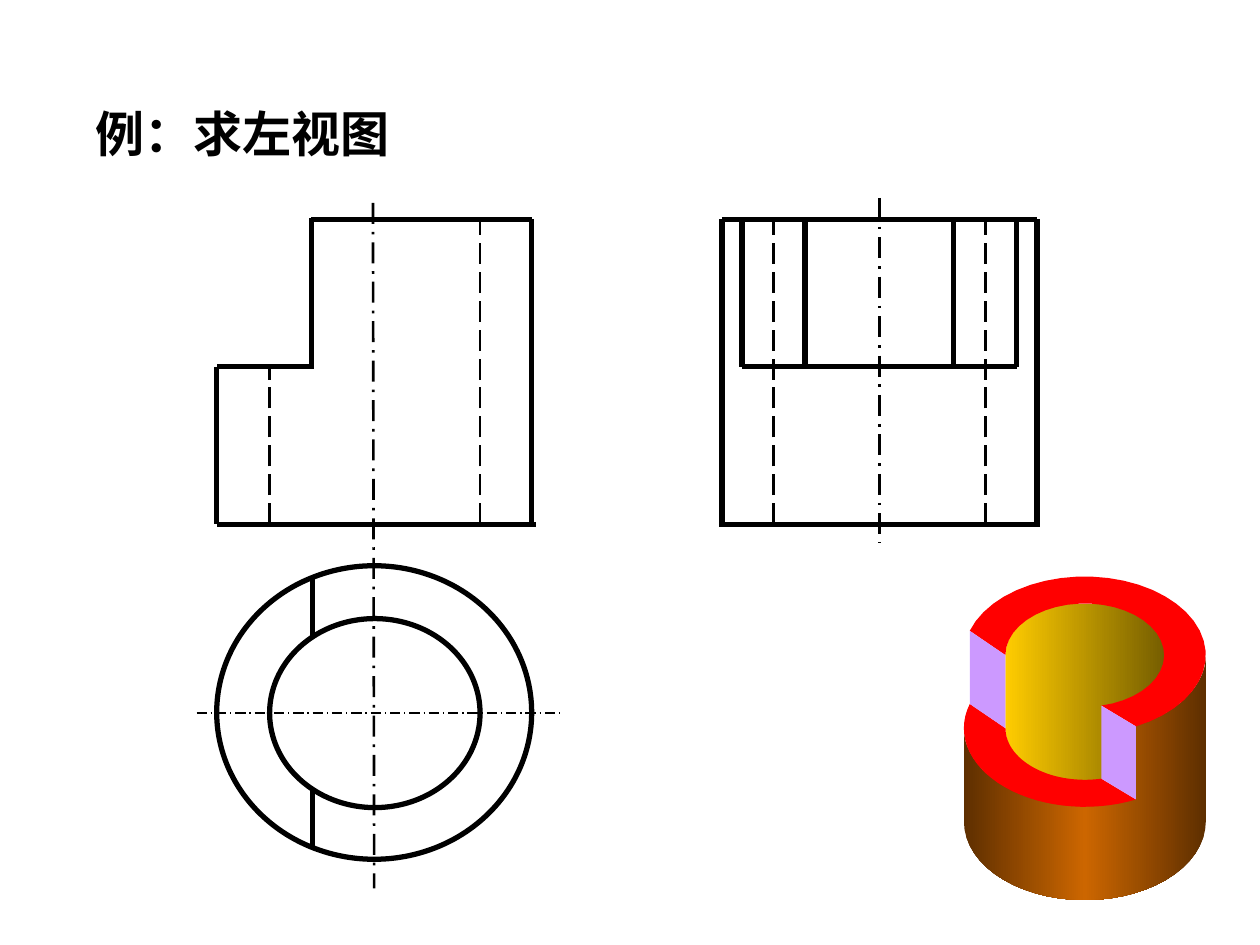
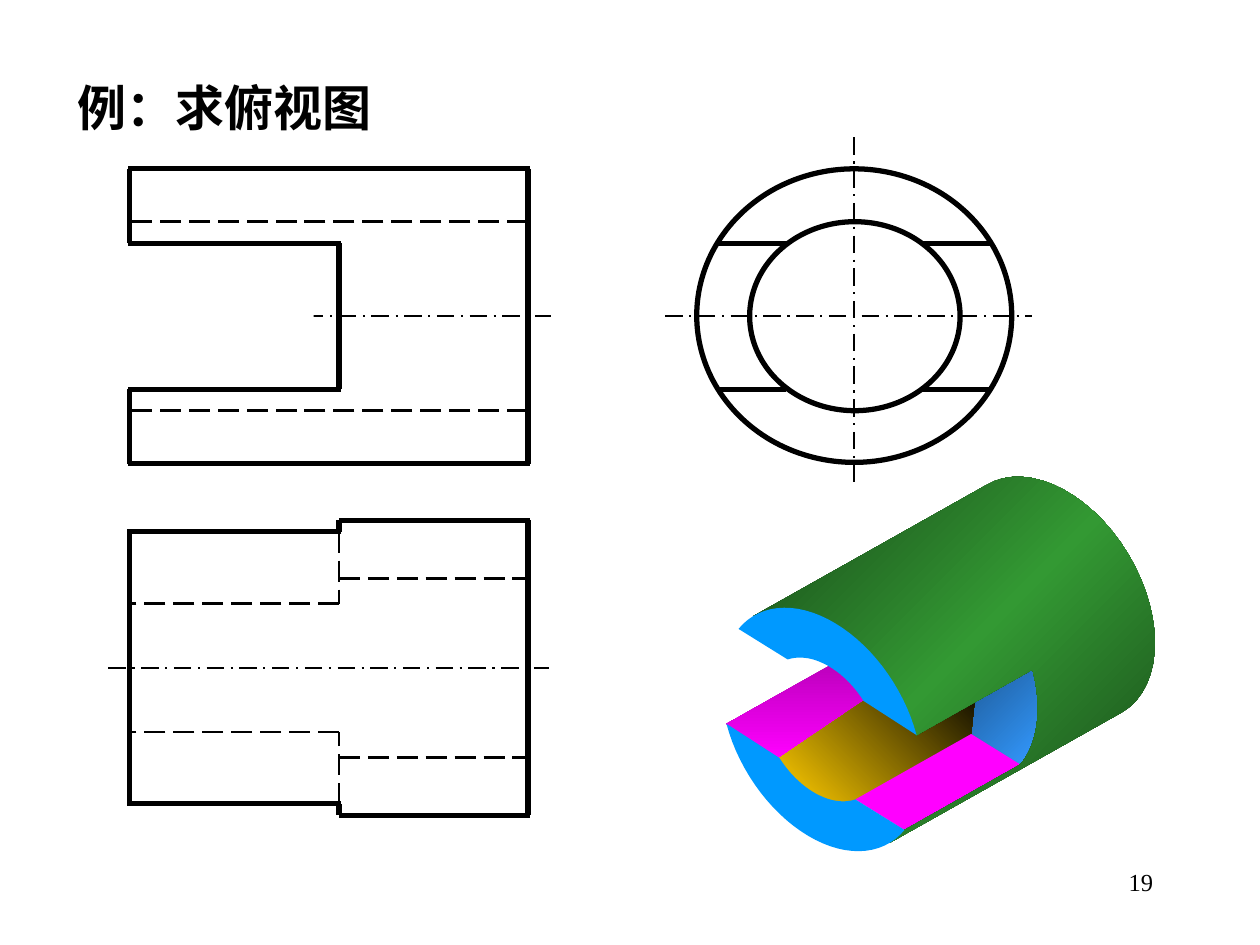
import math
from dataclasses import dataclass

from lxml import etree
from pptx import Presentation
from pptx.dml.color import RGBColor
from pptx.enum.dml import MSO_LINE
from pptx.enum.shapes import MSO_CONNECTOR, MSO_SHAPE
from pptx.enum.text import PP_ALIGN
from pptx.oxml import parse_xml
from pptx.oxml.ns import nsdecls, qn
from pptx.util import Cm, Pt

STRAIGHT = MSO_CONNECTOR.STRAIGHT
ELLIPSE, RECTANGLE = MSO_SHAPE.OVAL, MSO_SHAPE.RECTANGLE
HIDDEN_DASH, AXIS_DASH = MSO_LINE.LONG_DASH, MSO_LINE.LONG_DASH_DOT
LEFT, RIGHT = PP_ALIGN.LEFT, PP_ALIGN.RIGHT
FORESHORTENING = 0.65
ARC_STEPS = 30
SIDES = (-1, 1)


@dataclass(frozen=True)
class Theme:
    ink: str = "000000"
    paper: str = "FFFFFF"
    title_font: str = "Noto Sans CJK SC"
    number_font: str = "Times New Roman"
    title_size: int = 28
    number_size: int = 14
    edge: float = 3
    hidden: float = 1.5
    axis: float = 1.25
    long_axis: float = 1.5
    thin_axis: float = 0.75
    red: str = "FF0000"
    lilac: str = "CC99FF"
    magenta: str = "FF00FF"
    dark_magenta: str = "B900B9"
    blue: str = "0099FF"
    steel: str = "3399FF"
    dark_steel: str = "1F5D9B"
    green: str = "339933"
    dark_green: str = "184718"
    orange: str = "CC6600"
    brown: str = "5E2F00"
    gold: str = "FFCC00"
    dark_gold: str = "765E00"
    black_gold: str = "191400"


def inches(value):
    """Drawing coordinates are in inches; lengths are handed over as Cm."""
    return Cm(value * 2.54)


def midpoint(first, second):
    return (first[0] + second[0]) / 2, (first[1] + second[1]) / 2


@dataclass(frozen=True)
class TubeModel:
    """Tube seen at a slant: its circles become ellipses turned by tilt.

    Angles are degrees, clockwise from the long axis of the ellipse.
    """
    centre: tuple
    outer: float
    bore: float
    tilt: float = 0

    def point(self, radius, angle, shift=(0, 0)):
        turn, tilt = math.radians(angle), math.radians(self.tilt)
        along = radius * math.cos(turn)
        across = radius * FORESHORTENING * math.sin(turn)
        return (self.centre[0] + shift[0] + along * math.cos(tilt) - across * math.sin(tilt),
                self.centre[1] + shift[1] + along * math.sin(tilt) + across * math.cos(tilt))

    def arc(self, radius, start, end, shift=(0, 0)):
        return [self.point(radius, start + (end - start) * step / ARC_STEPS, shift)
                for step in range(ARC_STEPS + 1)]

    def ring_sector(self, outer_start, outer_end, bore_end, bore_start, shift=(0, 0)):
        return (self.arc(self.outer, outer_start, outer_end, shift)
                + self.arc(self.bore, bore_end, bore_start, shift))

    def cut_face(self, outer_angle, bore_angle, shift):
        """Parallelogram swept by a radial edge that moves by shift."""
        return [self.point(self.outer, outer_angle), self.point(self.bore, bore_angle),
                self.point(self.bore, bore_angle, shift),
                self.point(self.outer, outer_angle, shift)]


class DrawingSheet:
    def __init__(self, presentation, theme):
        self.presentation = presentation
        self.theme = theme
        self.slide = None

    def new_slide(self):
        self.slide = self.presentation.slides.add_slide(
            self.presentation.slide_layouts[6])

    def title(self, text, left, top):
        self.text(text, (left, top, 3.65, 0.57), bold=True,
                  font=self.theme.title_font, size=self.theme.title_size)

    def page_number(self, number):
        self.text(number, (7.17, 6.83, 2.08, 0.5), align=RIGHT,
                  font=self.theme.number_font, size=self.theme.number_size)

    def text(self, text, box, *, font, size, bold=False, align=LEFT):
        frame = self.slide.shapes.add_textbox(*map(inches, box)).text_frame
        frame.word_wrap = True
        paragraph = frame.paragraphs[0]
        paragraph.alignment = align
        run = paragraph.add_run()
        run.text = text
        run.font.name, run.font.size, run.font.bold = font, Pt(size), bold
        run.font.color.rgb = RGBColor.from_string(self.theme.ink)
        east_asian = etree.SubElement(run.font._element, qn("a:ea"))
        east_asian.set("typeface", font)

    def line(self, x1, y1, x2, y2, width, dash=None):
        connector = self.slide.shapes.add_connector(
            STRAIGHT, *map(inches, (x1, y1, x2, y2)))
        connector.line.color.rgb = RGBColor.from_string(self.theme.ink)
        connector.line.width = Pt(width)
        if dash is not None:
            connector.line.dash_style = dash
        etree.SubElement(connector._element.spPr, qn("a:effectLst"))

    def edges(self, *segments):
        for segment in segments:
            self.line(*segment, self.theme.edge)

    def hidden_edges(self, *segments):
        for segment in segments:
            self.line(*segment, self.theme.hidden, HIDDEN_DASH)

    def axis(self, *segment, width=None):
        self.line(*segment, width or self.theme.axis, AXIS_DASH)

    def preset(self, kind, box, fill=None, outlined=True):
        shape = self.slide.shapes.add_shape(kind, *map(inches, box))
        shape.shadow.inherit = False
        if fill:
            shape.fill.solid()
            shape.fill.fore_color.rgb = RGBColor.from_string(fill)
        else:
            shape.fill.background()
        if outlined:
            shape.line.color.rgb = RGBColor.from_string(self.theme.ink)
            shape.line.width = Pt(self.theme.edge)
        else:
            shape.line.fill.background()

    def end_view(self, left, top, hole_fill=None):
        """Draw the tube along its axis: outer circle and centred hole."""
        self.preset(ELLIPSE, (left + 0.42, top + 0.42, 1.67, 1.5), hole_fill)
        self.preset(ELLIPSE, (left, top, 2.5, 2.33))

    def face(self, points, *colours, angle=0):
        """Fill a closed outline with one colour or an even gradient."""
        outline = [(inches(x), inches(y)) for x, y in points]
        builder = self.slide.shapes.build_freeform(*outline[0], scale=1.0)
        builder.add_line_segments(outline[1:], close=True)
        shape = builder.convert_to_shape()
        shape.shadow.inherit = False
        shape.line.fill.background()
        if len(colours) == 1:
            shape.fill.solid()
            shape.fill.fore_color.rgb = RGBColor.from_string(colours[0])
            return
        step = 100000 // (len(colours) - 1)
        stops = "".join(
            f'<a:gs pos="{index * step}"><a:srgbClr val="{colour}"/></a:gs>'
            for index, colour in enumerate(colours))
        gradient = parse_xml(
            f'<a:gradFill {nsdecls("a")} rotWithShape="1"><a:gsLst>{stops}</a:gsLst>'
            f'<a:lin ang="{angle * 60000}" scaled="0"/></a:gradFill>')
        shape.fill.background()
        properties = shape._element.spPr
        properties.replace(properties.find(qn("a:noFill")), gradient)


def draw_stepped_views(sheet):
    """Three views of an upright tube whose left part is cut lower."""
    theme = sheet.theme
    top, step, bottom = 1.74, 2.91, 4.16
    left, cut, right = 1.72, 2.47, 4.22

    # Plan and front view
    sheet.edges((cut + 0.01, 4.59, cut + 0.01, 6.73))
    sheet.end_view(left, 4.49, hole_fill=theme.paper)
    sheet.edges((left, bottom, right + 0.03, bottom), (right, top, right, bottom),
                (cut, top - 0.01, cut, step + 0.01), (cut + 0.02, step, left, step),
                (left, step, left, bottom), (cut, top, right, top))
    sheet.hidden_edges((2.14, bottom, 2.14, step), (3.81, bottom, 3.81, top))
    sheet.axis(2.96, 1.61, 2.97, 7.05, width=theme.long_axis)
    sheet.axis(1.56, 5.66, 4.47, 5.66, width=theme.thin_axis)

    # Left view, symmetric about its axis
    centre, wall, cut_outer, bore, cut_bore = 6.98, 1.25, 1.09, 0.84, 0.59
    for y, half_width in ((top, wall), (step, cut_outer), (bottom, wall + 0.02)):
        sheet.edges((centre - half_width, y, centre + half_width, y))
    for side in SIDES:
        for offset, end in ((wall, bottom), (cut_outer, step), (cut_bore, step)):
            x = centre + side * offset
            sheet.edges((x, top, x, end))
        x = centre + side * bore
        sheet.hidden_edges((x, bottom, x, top))
    sheet.axis(centre, 1.57, centre, 4.31, width=theme.long_axis)


def draw_stepped_model(sheet):
    theme = sheet.theme
    tube = TubeModel(centre=(8.61, 5.2), outer=0.96, bore=0.63)
    step, base = (0, 0.58), (0, 1.32)
    # The cut plane meets each circle at a back-left and a front-right angle
    outer_back, outer_front = 198, 65
    bore_back, bore_front = 180, 78

    outer_wall = (tube.arc(tube.outer, 180, outer_front, step)
                  + tube.arc(tube.outer, outer_front, 0)
                  + tube.arc(tube.outer, 0, 180, base))
    bore_wall = (tube.arc(tube.bore, bore_back, bore_front + 360)
                 + tube.arc(tube.bore, bore_front, bore_back, step))
    sheet.face(bore_wall, theme.gold, theme.dark_gold)
    sheet.face(outer_wall, theme.brown, theme.orange, theme.brown)
    sheet.face(tube.ring_sector(outer_back, outer_front + 360,
                                bore_front + 360, bore_back), theme.red)
    sheet.face(tube.ring_sector(outer_back, outer_front,
                                bore_front, bore_back, step), theme.red)
    for outer_angle, bore_angle in ((outer_back, bore_back), (outer_front, bore_front)):
        sheet.face(tube.cut_face(outer_angle, bore_angle, step), theme.lilac)


def draw_slotted_views(sheet):
    """Three views of a lying tube with a slot through its left end."""
    left, slot, right = 1.03, 2.69, 4.19
    middle, wall, slot_half, bore = 2.51, 1.17, 0.58, 0.75

    # Front view, symmetric about its axis; a paper patch clears the open slot
    sheet.axis(0.87, middle, 4.37, middle)
    sheet.preset(RECTANGLE, (0.86, 2.35, 1.63, 0.24), sheet.theme.paper, outlined=False)
    for side in SIDES:
        wall_y, slot_y, bore_y = (middle + side * half for half in (wall, slot_half, bore))
        sheet.edges((left - 0.01, wall_y, right + 0.02, wall_y),
                    (left - 0.01, slot_y, slot + 0.02, slot_y),
                    (left, slot_y, left, wall_y))
        sheet.hidden_edges((right, bore_y, left, bore_y))
    sheet.edges((right, middle - wall, right, middle + wall),
                (slot, middle - slot_half, slot, middle + slot_half))

    # Left view: slot edges run from the hole to the outer circle
    centre, slot_inner, slot_outer = 6.78, 0.54, 1.08
    sheet.end_view(5.53, 1.34)
    sheet.axis(5.28, middle, 8.19, middle)
    sheet.axis(centre, 1.09, centre, 3.84)
    for x_side in SIDES:
        for y_side in SIDES:
            y = middle + y_side * slot_half
            sheet.edges((centre + x_side * slot_inner, y, centre + x_side * slot_outer, y))

    # Plan, symmetric about its axis
    plan, shoulder, slot_bore, body_bore = 5.3, 1.08, 0.51, 0.71
    for side in SIDES:
        wall_y, shoulder_y, slot_y, bore_y = (
            plan + side * half for half in (wall, shoulder, slot_bore, body_bore))
        sheet.edges((slot, wall_y, right + 0.02, wall_y), (slot, wall_y, slot, shoulder_y),
                    (slot + 0.02, shoulder_y, left - 0.02, shoulder_y))
        sheet.hidden_edges((slot, shoulder_y, slot, slot_y), (slot, slot_y, left, slot_y),
                           (slot, bore_y, right, bore_y))
    for x, half in ((left, shoulder), (right, wall)):
        sheet.edges((x, plan - half, x, plan + half))
    sheet.axis(0.86, plan, 4.36, plan)


def draw_slotted_model(sheet):
    theme = sheet.theme
    tube = TubeModel(centre=(6.52, 5.79), outer=1.05, bore=0.62, tilt=59)
    far_end, slot_end = (1.85, -1.04), (0.92, -0.52)
    # Slot corners on the upper lobe; the lower lobe lies half a turn away
    outer_left, outer_right = 167, 294
    bore_left, bore_right = 188, 268
    lower_left, lower_right = outer_right - 180, outer_left + 180
    lower_bore_left, lower_bore_right = bore_right - 180, bore_left - 180

    upper_corner = tube.point(tube.outer, outer_right)
    upper_edge_middle = midpoint(upper_corner, tube.point(tube.outer, outer_right, slot_end))
    slot_bore_corner = tube.point(tube.bore, lower_bore_right, slot_end)
    slot_back = (tube.arc(tube.outer, outer_right, lower_right, slot_end)
                 + [slot_bore_corner, upper_edge_middle])
    bore_wall = (tube.arc(tube.bore, lower_bore_left, lower_bore_right)
                 + [slot_bore_corner, upper_edge_middle, upper_corner,
                    tube.point(tube.bore, bore_right)])
    outer_wall = (tube.arc(tube.outer, 180, 360, far_end)
                  + tube.arc(tube.outer, 360, lower_right)
                  + tube.arc(tube.outer, lower_right, outer_right, slot_end)
                  + tube.arc(tube.outer, outer_right, 180))

    sheet.face(tube.cut_face(lower_left, lower_bore_left, slot_end),
               theme.dark_magenta, theme.magenta, angle=90)
    sheet.face(slot_back, theme.dark_steel, theme.steel, angle=45)
    sheet.face(bore_wall, theme.gold, theme.black_gold, angle=315)
    sheet.face(tube.cut_face(lower_right, lower_bore_right, slot_end), theme.magenta)
    sheet.face(outer_wall, theme.dark_green, theme.green, theme.dark_green, angle=45)
    for half_turn in (0, 180):
        sheet.face(tube.ring_sector(*(angle - half_turn for angle in (
            outer_left, outer_right, bore_right, bore_left))), theme.blue)


def main():
    presentation = Presentation()
    presentation.slide_width, presentation.slide_height = Cm(25.4), Cm(19.05)
    sheet = DrawingSheet(presentation, Theme())

    sheet.new_slide()
    sheet.title("例：求左视图", 0.66, 0.77)
    draw_stepped_views(sheet)
    draw_stepped_model(sheet)

    sheet.new_slide()
    sheet.title("例：求俯视图", 0.52, 0.57)
    draw_slotted_views(sheet)
    draw_slotted_model(sheet)
    sheet.page_number("19")
    presentation.save("out.pptx")


if __name__ == "__main__":
    main()
